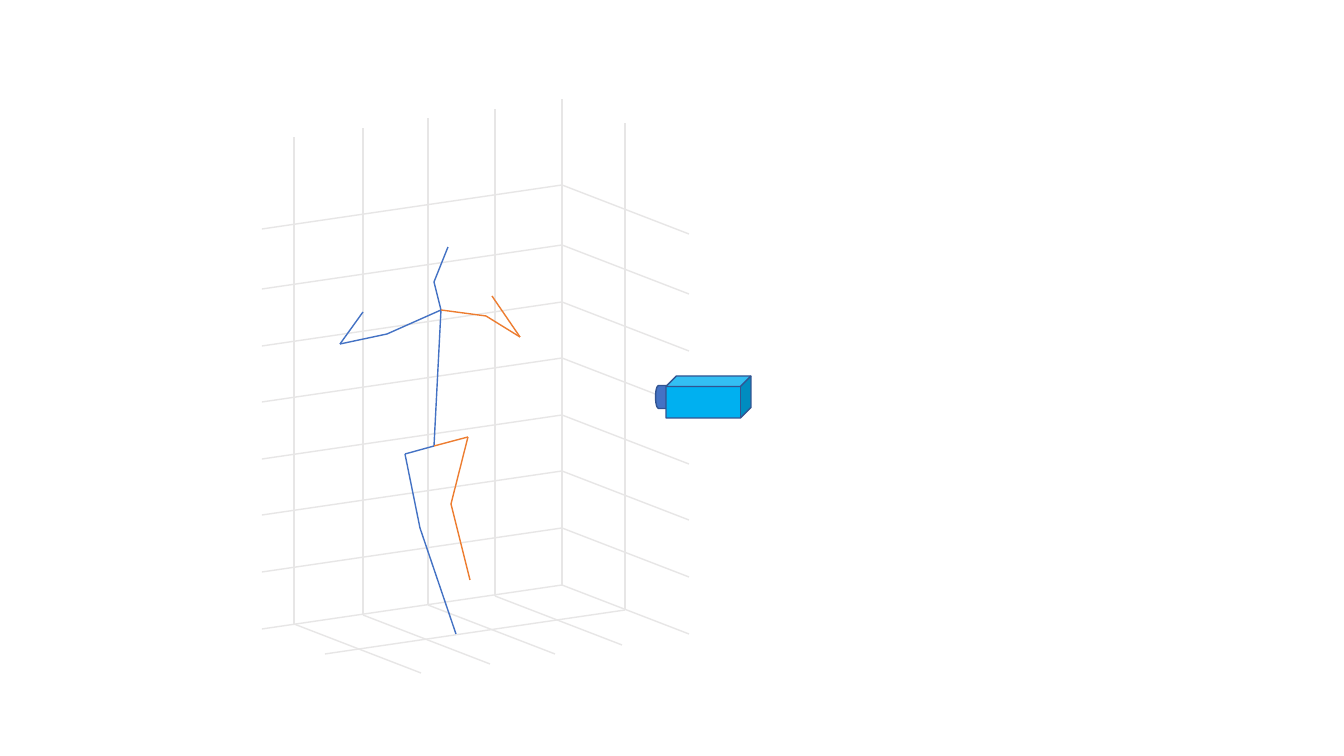
from pptx import Presentation
from pptx.dml.color import RGBColor
from pptx.enum.shapes import MSO_CONNECTOR, MSO_SHAPE
from pptx.util import Pt
from lxml import etree

STRAIGHT = MSO_CONNECTOR.STRAIGHT
CAN, CUBE = MSO_SHAPE.CAN, MSO_SHAPE.CUBE
GREY = RGBColor(0xE7, 0xE6, 0xE6)
BLUE = RGBColor(0x44, 0x72, 0xC4)
ORANGE = RGBColor(0xED, 0x7D, 0x31)
SKY = RGBColor(0x00, 0xB0, 0xF0)
NAVY = RGBColor(0x32, 0x54, 0x91)
A_NS = "{http://schemas.openxmlformats.org/drawingml/2006/main}"
PX = 914400 / 100.8

deck = Presentation()
deck.slide_width, deck.slide_height = round(1344 * PX), round(756 * PX)
slide = deck.slides.add_slide(deck.slide_layouts[6])


def draw_line(start, end, color):
    ends = [round(v * PX) for v in (*start, *end)]
    line = slide.shapes.add_connector(STRAIGHT, *ends)
    line.line.color.rgb = color
    line.line.width = Pt(1)
    etree.SubElement(line._element.spPr, A_NS + "effectLst")


def draw_solid(kind, left, top, width, height, color):
    box = [round(v * PX) for v in (left, top, width, height)]
    solid = slide.shapes.add_shape(kind, *box)
    solid.shadow.inherit = False
    solid.fill.solid()
    solid.fill.fore_color.rgb = color
    solid.line.color.rgb = NAVY
    solid.line.width = Pt(1)
    return solid


# Wall levels, running left and right from the corner
CORNER = 562
for y in (185, 245, 302, 358, 415, 471, 528, 585):
    draw_line((262, y + 44), (CORNER, y), GREY)
    draw_line((CORNER, y), (CORNER + 127, y + 49), GREY)

# Wall uprights
feet = [(294, 624), (363, 615), (428, 605), (495, 596)]
for x, y in feet + [(CORNER, 586), (625, 610)]:
    draw_line((x, y), (x, y - 487), GREY)

# Floor
for x, y in feet:
    draw_line((x, y), (x + 127, y + 49), GREY)
draw_line((325, 654), (625, 610), GREY)

# Skeleton
chest, pelvis = (441, 310), (434, 446)
limbs = [
    (BLUE, [(448, 247), (434, 282), chest, pelvis]),
    (BLUE, [chest, (387, 334), (340, 344), (363, 312)]),
    (BLUE, [pelvis, (405, 454), (420, 528), (456, 634)]),
    (ORANGE, [chest, (486, 316), (520, 337), (492, 296)]),
    (ORANGE, [pelvis, (468, 437), (451, 504), (470, 580)]),
]
for color, joints in limbs:
    for start, end in zip(joints, joints[1:]):
        draw_line(start, end, color)

# Camera
lens = draw_solid(CAN, 657, 384, 23, 26, BLUE)
lens.rotation = 90
draw_solid(CUBE, 666, 376, 85, 42, SKY)

deck.save("out.pptx")
